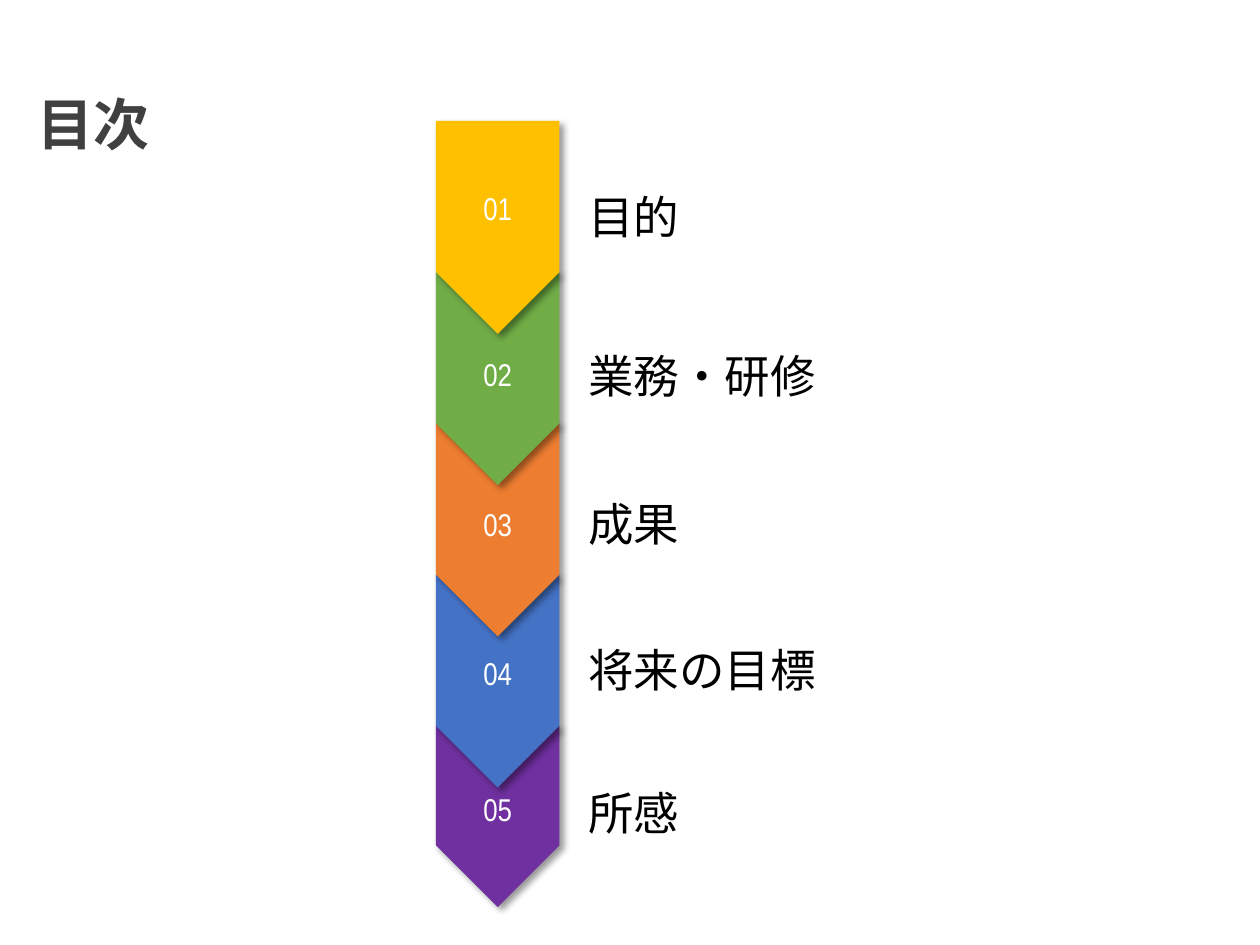
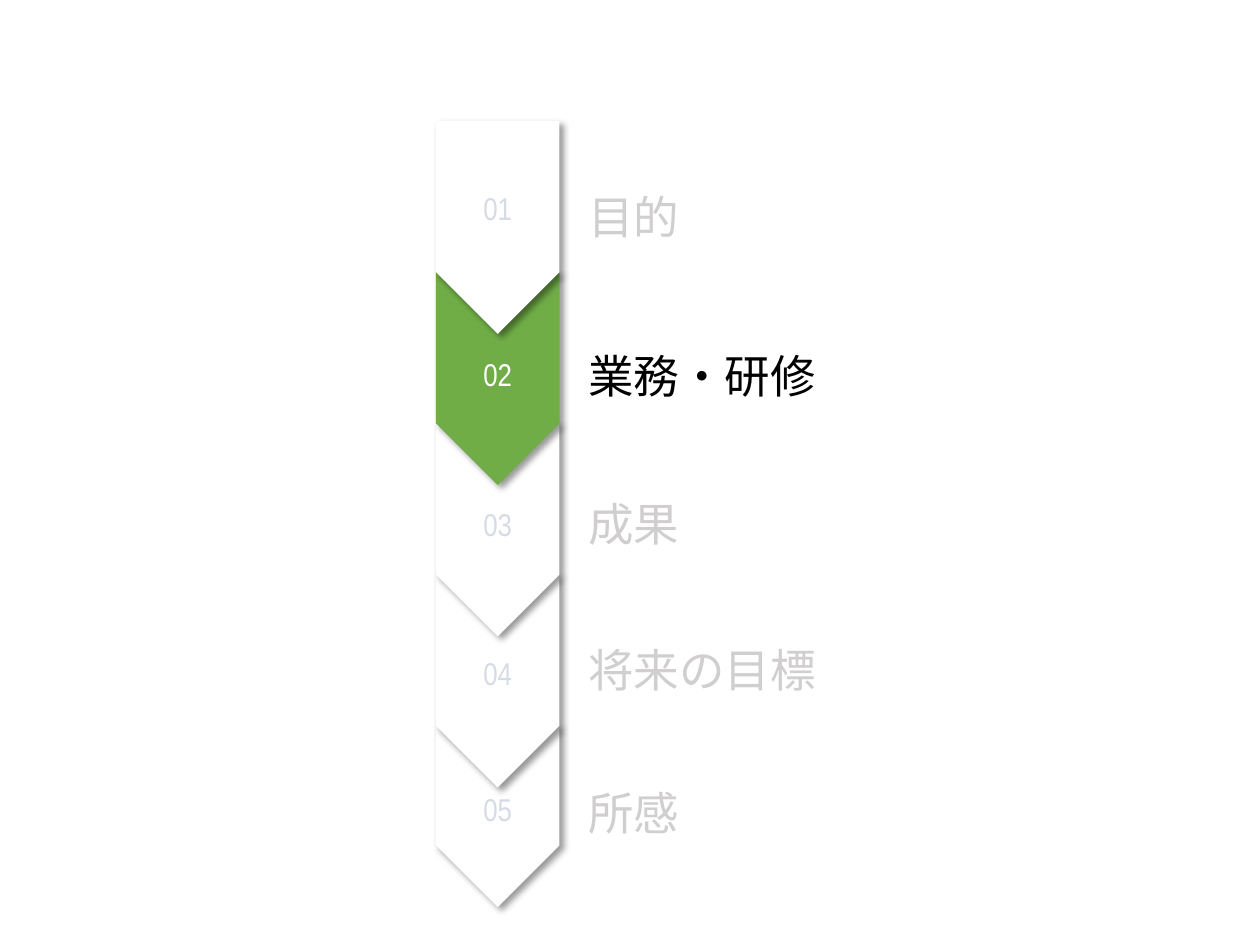
from dataclasses import dataclass

from lxml import etree
from pptx import Presentation
from pptx.dml.color import RGBColor
from pptx.enum.shapes import MSO_SHAPE
from pptx.enum.text import MSO_ANCHOR, MSO_AUTO_SIZE, PP_ALIGN
from pptx.oxml.ns import qn
from pptx.util import Inches, Pt

PENTAGON = MSO_SHAPE.PENTAGON
BOTTOM = MSO_ANCHOR.BOTTOM
NO_FIT = MSO_AUTO_SIZE.NONE
GROW = MSO_AUTO_SIZE.SHAPE_TO_FIT_TEXT
LEFT, CENTER = PP_ALIGN.LEFT, PP_ALIGN.CENTER
TITLE_ONLY, BLANK = 5, 6


@dataclass(frozen=True)
class Theme:
    title_font: str = "Noto Sans CJK JP"
    label_font: str = "Roboto"
    number_font: str = "Arial Narrow"
    title_size: int = 32
    label_size: int = 26
    number_size: int = 18
    title: str = "404040"
    label: str = "000000"
    number: str = "FFFFFF"
    muted_label: str = "D0CECE"
    muted_number: str = "D6DCE5"
    muted_fill: str = "FFFFFF"
    shadow: str = "000000"


@dataclass(frozen=True)
class Box:
    left: float
    top: float
    width: float
    height: float

    def lengths(self):
        return [Inches(side) for side in (self.left, self.top, self.width, self.height)]


@dataclass(frozen=True)
class Chapter:
    label: str
    fill: str
    label_top: float
    number_top: float


THEME = Theme()
TITLE_BOX = Box(0, 0.11, 8.92, 1.19)
AGENDA_BOX = Box(3.46, 0.96, 3.5, 6.24)
BAND_WIDTH = 0.98
ARROW_LENGTH = 1.69
LAST_LENGTH = 1.44
CHAPTERS = [
    Chapter("目的", "FFC000", 0.49, 0.49),
    Chapter("業務・研修", "70AD47", 1.75, 1.81),
    Chapter("成果", "ED7D31", 2.93, 3.00),
    Chapter("将来の目標", "4472C4", 4.09, 4.18),
    Chapter("所感", "7030A0", 5.22, 5.26),
]


def add_span(para, text, font, size, color, bold=False):
    span = para.add_run()
    span.text = text
    span.font.name = font
    span.font.size = Pt(size)
    span.font.bold = bold
    span.font.color.rgb = RGBColor.from_string(color)
    east_asian = etree.SubElement(span.font._element, qn("a:ea"))
    east_asian.set("typeface", font)


def add_text(shapes, box, text, font, size, color, align=LEFT):
    frame = shapes.add_textbox(*box.lengths()).text_frame
    frame.word_wrap = True
    frame.auto_size = GROW
    para = frame.paragraphs[0]
    para.alignment = align
    add_span(para, text, font, size, color)


def add_shadow(shape):
    effects = etree.SubElement(shape._element.spPr, qn("a:effectLst"))
    outer = etree.SubElement(
        effects, qn("a:outerShdw"), blurRad=str(Pt(4)), dist=str(Pt(3)),
        dir=str(45 * 60000), algn="tl", rotWithShape="0")
    color = etree.SubElement(outer, qn("a:srgbClr"), val=THEME.shadow)
    etree.SubElement(color, qn("a:alpha"), val="40000")


def add_down_arrow(shapes, box, fill):
    turned = Box(box.left + (box.width - box.height) / 2,
                 box.top + (box.height - box.width) / 2,
                 box.height, box.width)
    arrow = shapes.add_shape(PENTAGON, *turned.lengths())
    arrow.rotation = 90
    arrow.fill.solid()
    arrow.fill.fore_color.rgb = RGBColor.from_string(fill)
    arrow.line.fill.background()
    add_shadow(arrow)


def add_band(page, box, fills):
    band = page.shapes.add_group_shape().shapes
    last = len(fills) - 1
    pitch = (box.height - LAST_LENGTH) / last
    for index in reversed(range(len(fills))):
        length = LAST_LENGTH if index == last else ARROW_LENGTH
        arrow_box = Box(box.left, box.top + index * pitch, BAND_WIDTH, length)
        add_down_arrow(band, arrow_box, fills[index])


def add_agenda(page, box, current=None):
    active = [current in (None, chapter.label) for chapter in CHAPTERS]
    add_band(page, box, [chapter.fill if lit else THEME.muted_fill
                         for chapter, lit in zip(CHAPTERS, active)])
    for number, (chapter, lit) in enumerate(zip(CHAPTERS, active), 1):
        add_text(page.shapes,
                 Box(box.left + 0.19, box.top + chapter.number_top, 0.6, 0.4),
                 f"{number:02}", THEME.number_font, THEME.number_size,
                 THEME.number if lit else THEME.muted_number, CENTER)
        add_text(page.shapes,
                 Box(box.left + 1.11, box.top + chapter.label_top, 2.39, 0.54),
                 chapter.label, THEME.label_font, THEME.label_size,
                 THEME.label if lit else THEME.muted_label)


def set_title(page, box, text):
    title = page.shapes.title
    title.left, title.top, title.width, title.height = box.lengths()
    frame = title.text_frame
    frame.auto_size = NO_FIT
    frame.vertical_anchor = BOTTOM
    frame.margin_left = Inches(0.3)
    para = frame.paragraphs[0]
    para.alignment = LEFT
    para.line_spacing = 0.9
    add_span(para, text, THEME.title_font, THEME.title_size, THEME.title, bold=True)


def add_contents_page(deck):
    page = deck.slides.add_slide(deck.slide_layouts[TITLE_ONLY])
    set_title(page, TITLE_BOX, "目次")
    add_agenda(page, AGENDA_BOX)


def add_chapter_page(deck, current):
    page = deck.slides.add_slide(deck.slide_layouts[BLANK])
    add_agenda(page, AGENDA_BOX, current)


def main():
    deck = Presentation()
    deck.slide_width = Inches(10)
    deck.slide_height = Inches(7.5)
    add_contents_page(deck)
    add_chapter_page(deck, "業務・研修")
    deck.save("out.pptx")


if __name__ == "__main__":
    main()
